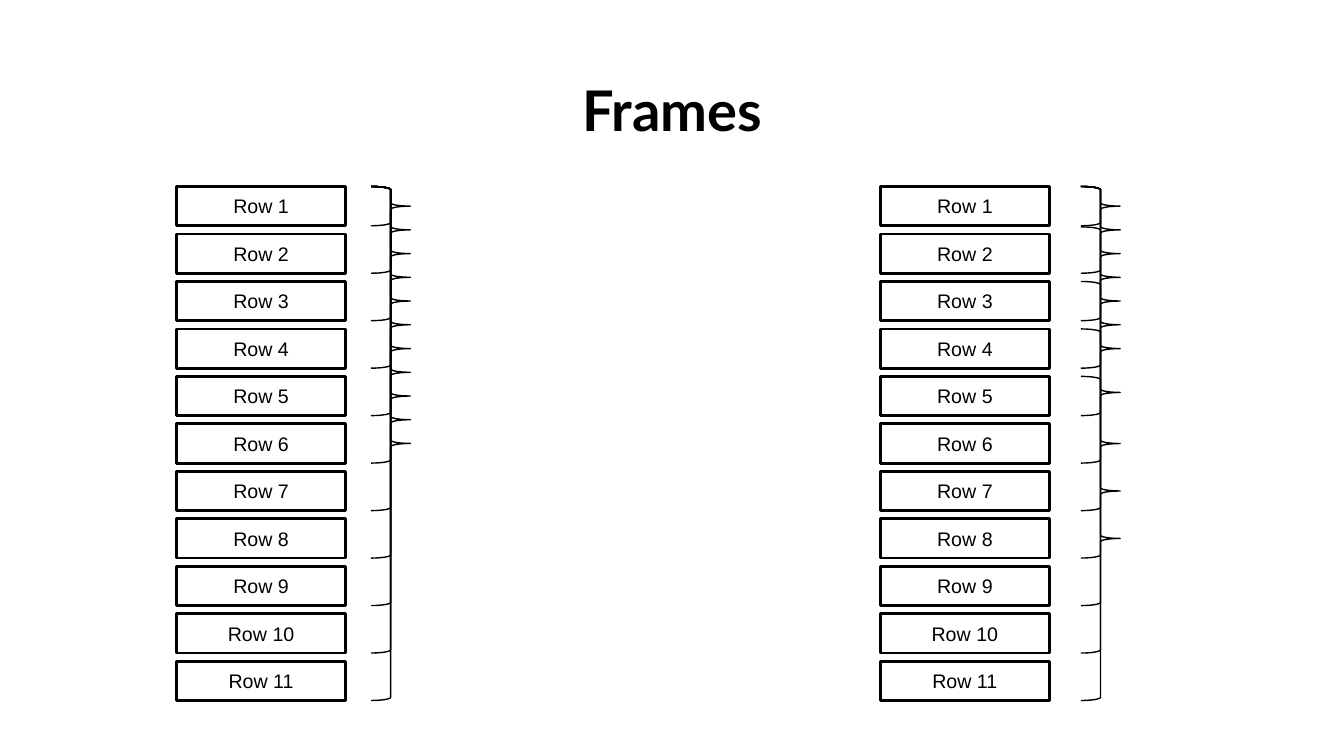
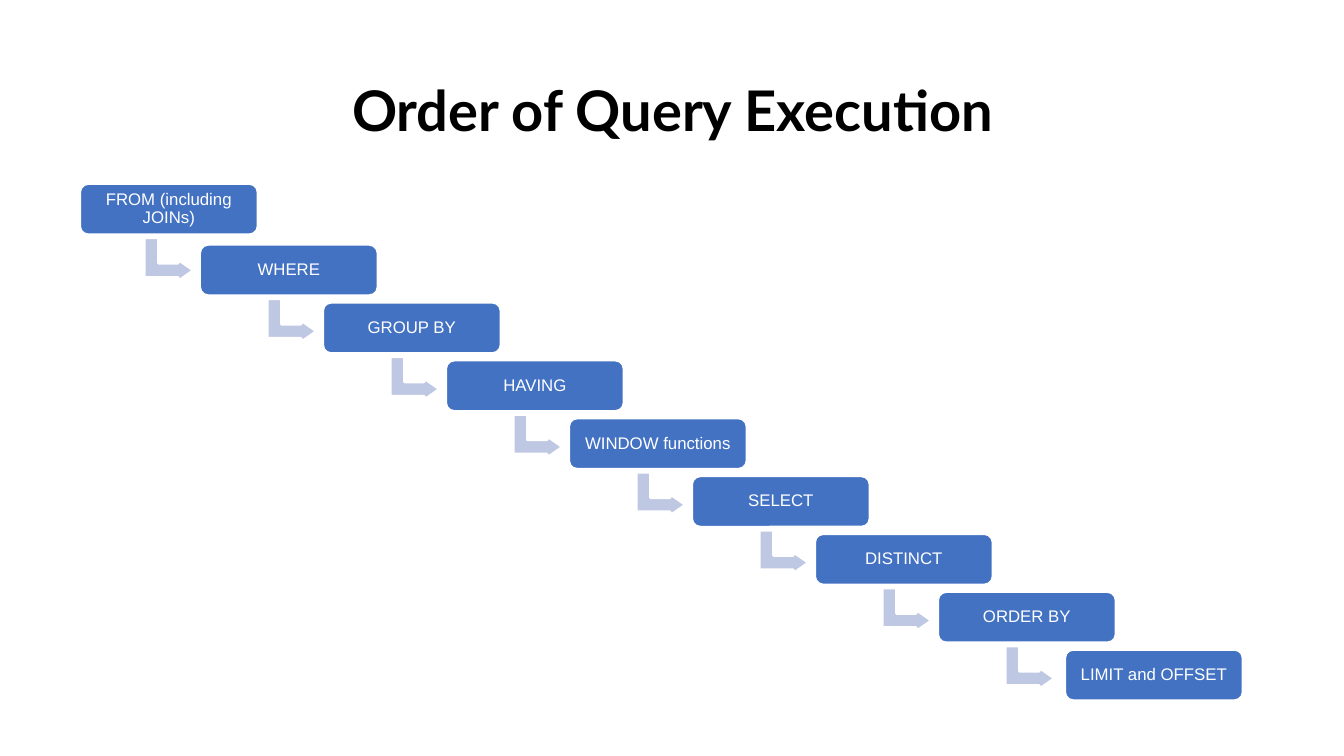
import dataclasses
import typing

import pptx
import pptx.dml.color
import pptx.enum.shapes
import pptx.enum.text
import pptx.util

Inches = pptx.util.Inches
Preset = pptx.enum.shapes.MSO_SHAPE


@dataclasses.dataclass(frozen=True)
class Theme:
    ink: str = "000000"
    paper: str = "FFFFFF"
    step: str = "4372C3"
    arrow: str = "BFC8E3"
    title_font: str = "Lato"
    body_font: str = "Arial"
    title_size: float = 40
    row_size: float = 14
    step_size: float = 12
    border: float = 2
    thin: float = 1
    tight: float = 0.9


@dataclasses.dataclass(frozen=True)
class Area:
    left: float
    top: float
    width: float
    height: float

    def moved(self, across: float, down: float) -> "Area":
        return dataclasses.replace(self, left=self.left + across, top=self.top + down)

    def lengths(self) -> list[int]:
        return [Inches(value) for value in dataclasses.astuple(self)]


@dataclasses.dataclass(frozen=True)
class Grid:
    first: Area
    column_pitch: float
    row_pitch: float

    def cell(self, column: int, row: int) -> Area:
        return self.first.moved(column * self.column_pitch, row * self.row_pitch)


@dataclasses.dataclass(frozen=True)
class Frame:
    first_row: int
    last_row: int
    lift: float = 0


@dataclasses.dataclass(frozen=True)
class RowStack:
    left: float
    brace_left: float
    frames: list[Frame]


@dataclasses.dataclass(frozen=True)
class Step:
    label: str
    across: float = 0
    down: float = 0


THEME = Theme()
SLIDE_WIDTH, SLIDE_HEIGHT = 13.33, 7.5
TITLE_AREA = Area(0.92, 0.4, 11.5, 1.45)

ROW_COUNT = 11
WINDOW_SIZE = 7
ROW_TOP, ROW_WIDTH, ROW_HEIGHT, ROW_PITCH = 1.85, 1.68, 0.39, 0.471
BRACE_WIDTH = 0.39

STACKS = [
    RowStack(1.75, 3.68, [Frame(0, last) for last in range(ROW_COUNT)]),
    RowStack(8.73, 10.72, [
        Frame(max(0, last - WINDOW_SIZE + 1), last, 0.07 if last == WINDOW_SIZE else 0)
        for last in range(ROW_COUNT)
    ]),
]

STEP_GRID = Grid(Area(0.76, 1.85, 1.77, 0.51), 1.22, 0.574)
STEP_ARROW = Area(0.7, 0.51, 0.43, 0.49)
STEPS = [
    Step("FROM (including JOINs)", across=0.03, down=-0.03),
    Step("WHERE"),
    Step("GROUP BY"),
    Step("HAVING"),
    Step("WINDOW functions"),
    Step("SELECT"),
    Step("DISTINCT"),
    Step("ORDER BY"),
    Step("LIMIT and OFFSET", across=0.04),
]


def color(value: str) -> pptx.dml.color.RGBColor:
    return pptx.dml.color.RGBColor.from_string(value)


def write(shape: typing.Any, text: str, font: str, size: float, ink: str,
          bold: bool = False, spacing: float = 1.0) -> None:
    frame = shape.text_frame
    frame.text = text
    frame.word_wrap = True
    frame.vertical_anchor = pptx.enum.text.MSO_ANCHOR.MIDDLE
    para = frame.paragraphs[0]
    para.alignment = pptx.enum.text.PP_ALIGN.CENTER
    para.line_spacing = spacing
    for span in para.runs:
        span.font.name = font
        span.font.size = pptx.util.Pt(size)
        span.font.bold = bold
        span.font.color.rgb = color(ink)


def draw(shapes: typing.Any, preset: Preset, area: Area, fill: str | None,
         line: str, weight: float, adjustments: tuple[float, ...] = ()) -> typing.Any:
    shape = shapes.add_shape(preset, *area.lengths())
    shape.shadow.inherit = False
    if fill is None:
        shape.fill.background()
    else:
        shape.fill.solid()
        shape.fill.fore_color.rgb = color(fill)
    shape.line.color.rgb = color(line)
    shape.line.width = pptx.util.Pt(weight)
    for index, value in enumerate(adjustments):
        shape.adjustments[index] = value
    return shape


def add_page(deck: typing.Any, title: str) -> typing.Any:
    page = deck.slides.add_slide(deck.slide_layouts[6])
    page.background.fill.solid()
    page.background.fill.fore_color.rgb = color(THEME.paper)
    box = page.shapes.add_textbox(*TITLE_AREA.lengths())
    write(box, title, THEME.title_font, THEME.title_size, THEME.ink, True, THEME.tight)
    return page


def draw_stack(page: typing.Any, stack: RowStack) -> None:
    grid = Grid(Area(stack.left, ROW_TOP, ROW_WIDTH, ROW_HEIGHT), 0, ROW_PITCH)
    group = page.shapes.add_group_shape()
    for row in range(ROW_COUNT):
        box = draw(group.shapes, Preset.RECTANGLE, grid.cell(0, row),
                   THEME.paper, THEME.ink, THEME.border)
        write(box, f"Row {row + 1}", THEME.body_font, THEME.row_size, THEME.ink)
    for frame in stack.frames:
        top = grid.cell(0, frame.first_row).top - frame.lift
        bottom = grid.cell(0, frame.last_row).top + ROW_HEIGHT
        area = Area(stack.brace_left, top, BRACE_WIDTH, bottom - top)
        draw(page.shapes, Preset.RIGHT_BRACE, area, None, THEME.ink, THEME.thin,
             (0.083, 0.5))


def draw_step(page: typing.Any, index: int, step: Step) -> None:
    cell = STEP_GRID.cell(index, index)
    if index < len(STEPS) - 1:
        area = STEP_ARROW.moved(cell.left, cell.top + step.down)
        arrow = draw(page.shapes, Preset.BENT_UP_ARROW, area, THEME.arrow, THEME.paper,
                     THEME.border, (0.328, 0.25, 0.358))
        arrow.rotation = 90
    box = draw(page.shapes, Preset.ROUNDED_RECTANGLE, cell.moved(step.across, step.down),
               THEME.step, THEME.paper, THEME.border, (0.167,))
    write(box, step.label, THEME.body_font, THEME.step_size, THEME.paper,
          spacing=THEME.tight)
    frame = box.text_frame
    frame.margin_left = frame.margin_right = Inches(0.07)
    frame.margin_top = frame.margin_bottom = Inches(0.07)


def main() -> None:
    deck = pptx.Presentation()
    deck.slide_width = Inches(SLIDE_WIDTH)
    deck.slide_height = Inches(SLIDE_HEIGHT)
    frames_page = add_page(deck, "Frames")
    for stack in STACKS:
        draw_stack(frames_page, stack)
    order_page = add_page(deck, "Order of Query Execution")
    for index, step in enumerate(STEPS):
        draw_step(order_page, index, step)
    deck.save("out.pptx")


if __name__ == "__main__":
    main()
